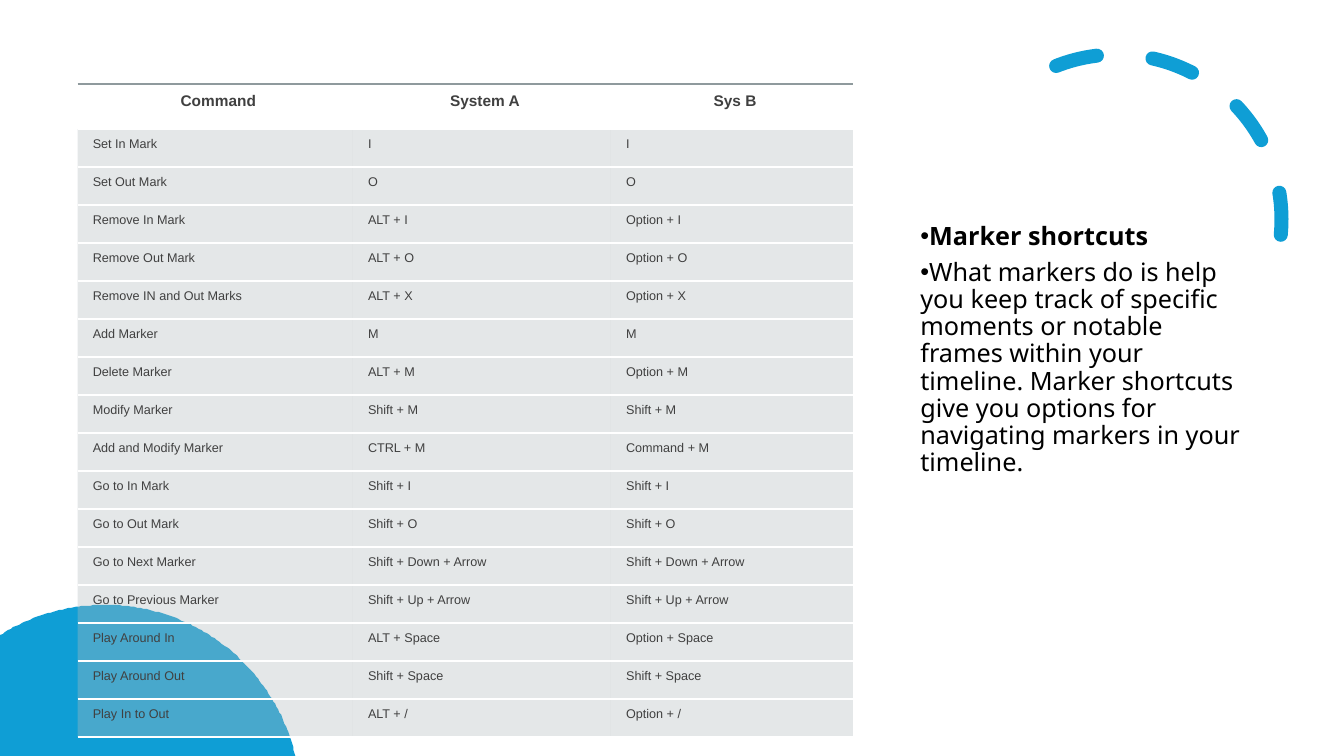
from math import atan2, cos, pi, sin, sqrt

from lxml import etree
from pptx import Presentation
from pptx.dml.color import RGBColor
from pptx.enum.dml import MSO_LINE
from pptx.enum.shapes import MSO_SHAPE
from pptx.enum.text import PP_ALIGN
from pptx.oxml import parse_xml
from pptx.oxml.ns import nsdecls, qn
from pptx.util import Inches, Pt

ARC, DASH = MSO_SHAPE.ARC, MSO_LINE.DASH
LEFT, CENTER = PP_ALIGN.LEFT, PP_ALIGN.CENTER
BLUE, BLACK, DARK, WHITE = "0F9ED5", "000000", "404040", "FFFFFF"
ROW_GREY, RULE_GREY = "B4BCBE", "8F9A9D"
NO_STYLE = "{2D5ABB26-0587-4C30-8999-92F81FD0307C}"

# Grid: 1333 columns by 750 rows of square cells
CELL = Inches(0.01)
COLUMNS, ROWS = 1333, 750


def color(value):
    return RGBColor.from_string(value)


def write(paragraph, text, font="Arial", size=9, ink=DARK, bold=False, align=LEFT):
    paragraph.alignment = align
    run = paragraph.add_run()
    run.text = text
    run.font.name = font
    run.font.size = Pt(size)
    run.font.bold = bold
    run.font.color.rgb = color(ink)


presentation = Presentation()
presentation.slide_width = CELL * COLUMNS
presentation.slide_height = CELL * ROWS
slide = presentation.slides.add_slide(presentation.slide_layouts[6])
shapes = slide.shapes

# Dashed arc, top right
arc = shapes.add_shape(ARC, CELL * 944, CELL * 54, CELL * 327, CELL * 327)
arc.shadow.inherit = False
arc.adjustments[0] = 144.42
arc.adjustments[1] = 0
arc.rotation = 66.1
arc.fill.background()
arc.line.color.rgb = color(BLUE)
arc.line.width = Pt(10)
arc.line.dash_style = DASH
arc.line._get_or_add_ln().set("cap", "rnd")
arc._element.spPr.find(qn("a:xfrm")).set("flipH", "1")

# Disc cut off by the left and bottom edges of the slide
RADIUS, CENTER_X, CENTER_Y = 194, 104, 794
STEPS = 120
edge_y = ROWS - CENTER_Y
start = atan2(-sqrt(RADIUS**2 - CENTER_X**2), -CENTER_X)
end = atan2(edge_y, sqrt(RADIUS**2 - edge_y**2))
rim = []
for step in range(STEPS + 1):
    angle = start + (end - start) * step / STEPS
    rim.append((CENTER_X + RADIUS * cos(angle), CENTER_Y + RADIUS * sin(angle)))
builder = shapes.build_freeform(0, ROWS, scale=CELL)
builder.add_line_segments(rim, close=True)
disc = builder.convert_to_shape()
disc.shadow.inherit = False
disc.fill.solid()
disc.fill.fore_color.rgb = color(BLUE)
disc.line.fill.background()

# Explanation on the right
box = shapes.add_textbox(CELL * 903, CELL * 217, CELL * 339, CELL * 458)
frame = box.text_frame
frame.word_wrap = True
notes = [
    ("Marker shortcuts", True),
    ("What markers do is help you keep track of specific moments or notable frames "
     "within your timeline. Marker shortcuts give you options for navigating markers "
     "in your timeline.", False),
]
for index, (text, bold) in enumerate(notes):
    paragraph = frame.add_paragraph() if index else frame.paragraphs[0]
    write(paragraph, text, font="Noto Sans", size=18, ink=BLACK, bold=bold)
    paragraph.line_spacing = 0.9
    paragraph.space_after = Pt(6)
    properties = paragraph._p.get_or_add_pPr()
    properties.set("marL", "0")
    properties.set("indent", str(-25 * CELL))
    etree.SubElement(properties, qn("a:buFont")).set("typeface", "Arial")
    etree.SubElement(properties, qn("a:buChar")).set("char", "•")

# Shortcut table
shortcuts = [
    ("Command", "System A", "Sys B"),
    ("Set In Mark", "I", "I"),
    ("Set Out Mark", "O", "O"),
    ("Remove In Mark", "ALT + I", "Option + I"),
    ("Remove Out Mark", "ALT + O", "Option + O"),
    ("Remove IN and Out Marks", "ALT + X", "Option + X"),
    ("Add Marker", "M", "M"),
    ("Delete Marker", "ALT + M", "Option + M"),
    ("Modify Marker", "Shift + M", "Shift + M"),
    ("Add and Modify Marker", "CTRL + M", "Command + M"),
    ("Go to In Mark", "Shift + I", "Shift + I"),
    ("Go to Out Mark", "Shift + O", "Shift + O"),
    ("Go to Next Marker", "Shift + Down + Arrow", "Shift + Down + Arrow"),
    ("Go to Previous Marker", "Shift + Up + Arrow", "Shift + Up + Arrow"),
    ("Play Around In", "ALT + Space", "Option + Space"),
    ("Play Around Out", "Shift + Space", "Shift + Space"),
    ("Play In to Out", "ALT + /", "Option + /"),
]
TABLE_HEIGHT, HEADER_HEIGHT = 649, 45
graphic = shapes.add_table(len(shortcuts), 3, CELL * 77, CELL * 83,
                           CELL * 769, CELL * TABLE_HEIGHT)
table = graphic.table
table.horz_banding = False
table._tbl.tblPr.find(qn("a:tableStyleId")).text = NO_STYLE
for column, width in zip(table.columns, (273, 256, 240)):
    column.width = CELL * width
body_height = CELL * (TABLE_HEIGHT - HEADER_HEIGHT) // (len(shortcuts) - 1)

for row, texts in enumerate(shortcuts):
    header = row == 0
    table.rows[row].height = CELL * HEADER_HEIGHT if header else body_height
    for column, text in enumerate(texts):
        cell = table.cell(row, column)
        cell.margin_left = CELL * 15
        cell.margin_right = cell.margin_top = cell.margin_bottom = CELL * (9 if header else 8)
        write(cell.text_frame.paragraphs[0], text, size=11 if header else 9,
              bold=header, align=CENTER if header else LEFT)
        if header:
            cell.fill.background()
        else:
            cell.fill.solid()
            cell.fill.fore_color.rgb = color(ROW_GREY)
        properties = cell._tc.get_or_add_tcPr()
        for tint in properties.iter(qn("a:srgbClr")):
            etree.SubElement(tint, qn("a:alpha")).set("val", "35000")

        # Borders: grey rule above the header, white rules between rows
        top, opacity = (RULE_GREY, 60000) if header else (WHITE, 100000)
        borders = [("lnT", top, opacity), ("lnB", WHITE, 100000)]
        for position, (side, ink, alpha) in enumerate(borders):
            properties.insert(position, parse_xml(
                f'<a:{side} {nsdecls("a")} w="{Pt(1.5)}"><a:solidFill>'
                f'<a:srgbClr val="{ink}"><a:alpha val="{alpha}"/></a:srgbClr>'
                f'</a:solidFill></a:{side}>'))

presentation.save("out.pptx")
